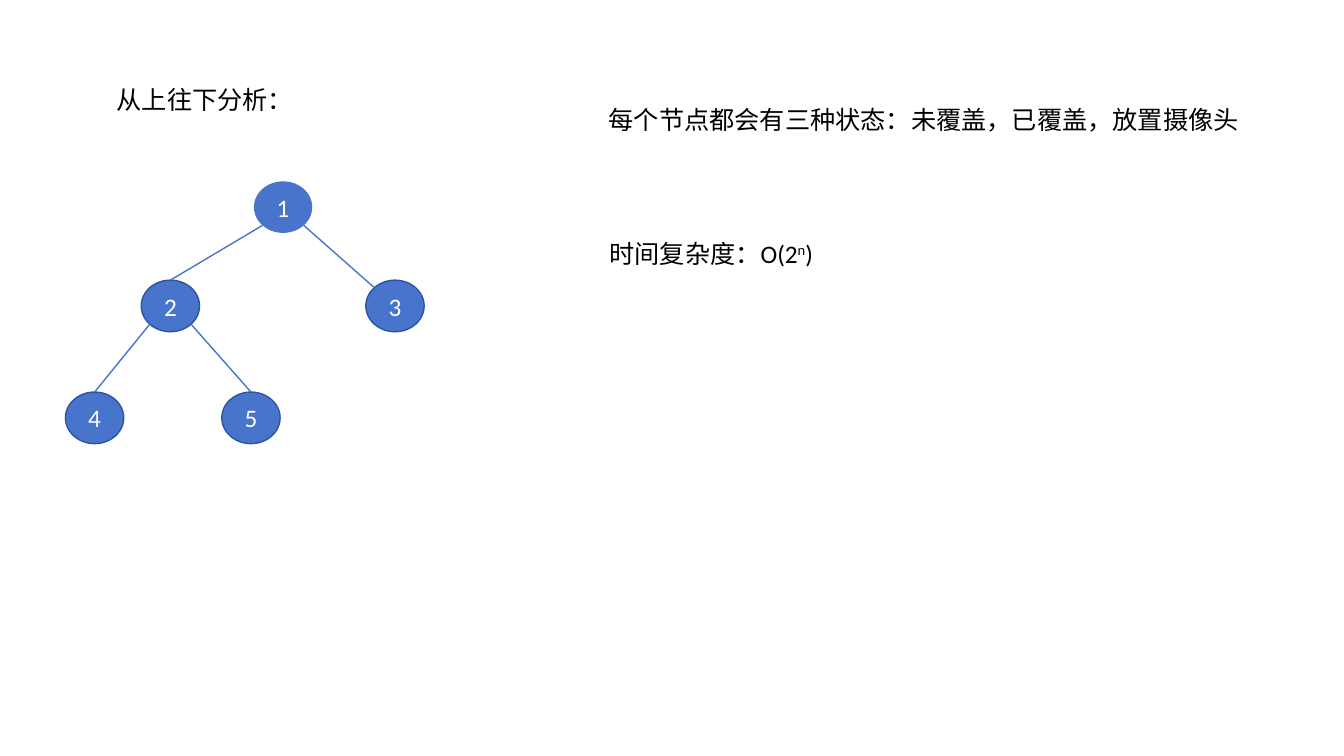
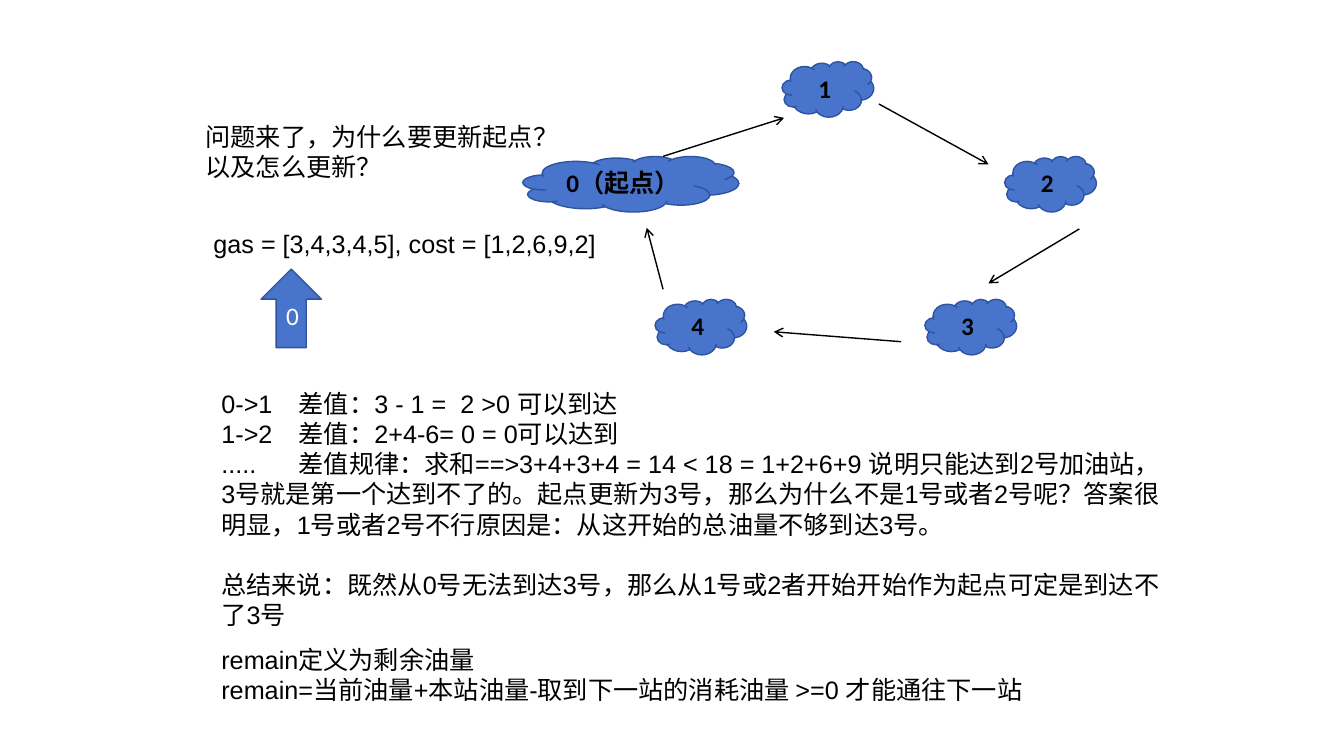
from math import sqrt

from lxml import etree
from pptx import Presentation
from pptx.dml.color import RGBColor
from pptx.enum.shapes import MSO_CONNECTOR, MSO_SHAPE
from pptx.enum.text import MSO_ANCHOR, PP_ALIGN
from pptx.oxml.ns import qn
from pptx.util import Cm, Pt

STRAIGHT = MSO_CONNECTOR.STRAIGHT
ELLIPSE, CLOUD, UP_ARROW = MSO_SHAPE.OVAL, MSO_SHAPE.CLOUD, MSO_SHAPE.UP_ARROW
MIDDLE, CENTER = MSO_ANCHOR.MIDDLE, PP_ALIGN.CENTER
TOP_SITE = 0

BLUE = RGBColor(0x48, 0x74, 0xCB)
DARK_BLUE = RGBColor(0x2E, 0x54, 0xA1)
WHITE = RGBColor(0xFF, 0xFF, 0xFF)
BLACK = RGBColor(0x00, 0x00, 0x00)

TEXT_SIZE = Pt(18)
LINE_WIDTH = Pt(1)
BLANK_LINE = Pt(21.5)
BODY_FONT, LABEL_FONT = "Arial", "Calibri"

NODE_WIDTH, NODE_HEIGHT = 1.47, 1.3
TREE_NODES = {
    "4": (0, 5.31),
    "3": (7.57, 2.49),
    "5": (3.94, 5.31),
    "2": (1.91, 2.49),
    "1": (4.75, 0),
}
# Parent, child, side of the parent (-1 left, 1 right), joins the child's top
TREE_EDGES = [("1", "2", -1, True), ("1", "3", 1, False),
              ("2", "4", -1, True), ("2", "5", 1, True)]

STATION_HEIGHT = 1.4
# Label, left, top, width
STATIONS = [
    ("0（起点）", 0, 2.39, 5.44),
    ("4", 3.33, 5.99, 2.31),
    ("1", 6.53, 0, 2.31),
    ("2", 12.14, 2.39, 2.31),
    ("3", 10.13, 5.99, 2.31),
]
ROUTES = [
    ((3.53, 2.39), (6.58, 1.42)),
    ((8.97, 1.07), (11.73, 2.59)),
    ((14.02, 4.22), (11.73, 5.59)),
    ((9.53, 7.06), (6.32, 6.81)),
    ((3.53, 5.74), (3.12, 4.19)),
]

STEPS = [
    "0->1\t差值：3 - 1 =  2 >0 可以到达",
    "1->2\t差值：2+4-6= 0 = 0可以达到",
    ".....\t差值规律：求和==>3+4+3+4 = 14 < 18 = 1+2+6+9 说明只能达到2号加油站，"
    "3号就是第一个达到不了的。起点更新为3号，那么为什么不是1号或者2号呢？"
    "答案很明显，1号或者2号不行原因是：从这开始的总油量不够到达3号。",
    "总结来说：既然从0号无法到达3号，那么从1号或2者开始开始作为起点可定是到达不了3号",
]
REMAIN = ["remain定义为剩余油量",
          "remain=当前油量+本站油量-取到下一站的消耗油量 >=0 才能通往下一站"]


def add_span(para, text, font_name, color=BLACK, bold=False):
    span = para.add_run()
    span.text = text
    formats = {"name": font_name, "size": TEXT_SIZE, "bold": bold}
    for name, value in formats.items():
        setattr(span.font, name, value)
    span.font.color.rgb = color
    return span


def add_text(page, box, lines, font_name):
    frame = page.shapes.add_textbox(*map(Cm, box)).text_frame
    frame.word_wrap = True
    for index, line in enumerate(lines):
        para = frame.add_paragraph() if index else frame.paragraphs[0]
        add_span(para, line, font_name)
    return frame


def add_tab_stop(para, position):
    tabs = etree.SubElement(para._p.get_or_add_pPr(), qn("a:tabLst"))
    etree.SubElement(tabs, qn("a:tab"), pos=str(position), algn="l")


def add_labelled(page, kind, box, label, color=WHITE, bold=False, outlined=True):
    """Add a blue shape with a centred label."""
    shape = page.shapes.add_shape(kind, *map(Cm, box))
    shape.shadow.inherit = False
    shape.fill.solid()
    shape.fill.fore_color.rgb = BLUE
    if outlined:
        shape.line.color.rgb = DARK_BLUE
        shape.line.width = LINE_WIDTH
    else:
        shape.line.fill.background()
    frame = shape.text_frame
    frame.vertical_anchor = MIDDLE
    para = frame.paragraphs[0]
    para.alignment = CENTER
    add_span(para, label, LABEL_FONT, color, bold)
    return shape


def add_line(page, start, end, color, arrow=False):
    line = page.shapes.add_connector(STRAIGHT, *map(Cm, (*start, *end)))
    line.line.color.rgb = color
    line.line.width = LINE_WIDTH
    if arrow:
        etree.SubElement(line.line._get_or_add_ln(), qn("a:tailEnd"), type="arrow")
    etree.SubElement(line._element.spPr, qn("a:effectLst"))
    return line


def diagonal_point(corner, across, down):
    """Return the point of a node's outline on one of its diagonals."""
    left, top = corner
    return (left + NODE_WIDTH / 2 * (1 + across / sqrt(2)),
            top + NODE_HEIGHT / 2 * (1 + down / sqrt(2)))


def draw_tree(page, left, top):
    corners = {label: (left + x, top + y) for label, (x, y) in TREE_NODES.items()}
    nodes = {
        label: add_labelled(page, ELLIPSE, (*corner, NODE_WIDTH, NODE_HEIGHT),
                            label, outlined=label != "1")
        for label, corner in corners.items()
    }
    for parent, child, side, joins_top in TREE_EDGES:
        edge = add_line(page, diagonal_point(corners[parent], side, 1),
                        diagonal_point(corners[child], -side, -1), BLUE)
        if joins_top:
            edge.end_connect(nodes[child], TOP_SITE)


def draw_station_ring(page, left, top):
    for label, x, y, width in STATIONS:
        add_labelled(page, CLOUD, (left + x, top + y, width, STATION_HEIGHT),
                     label, BLACK, bold=True)
    for start, end in ROUTES:
        add_line(page, *((left + x, top + y) for x, y in (start, end)),
                 BLACK, arrow=True)


def draw_steps(page, box):
    frame = add_text(page, box, STEPS, BODY_FONT)
    *steps, summary = frame.paragraphs
    for para in steps:
        add_tab_stop(para, Cm(1.95))
    summary.space_before = BLANK_LINE


def build_tree_page(page):
    add_text(page, (2.69, 2, 11.94, 1.02), ["从上往下分析："], LABEL_FONT)
    draw_tree(page, 1.65, 4.57)
    add_text(page, (15.09, 2.51, 16.69, 1.02),
             ["每个节点都会有三种状态：未覆盖，已覆盖，放置摄像头"], LABEL_FONT)
    frame = add_text(page, (15.11, 5.87, 11.28, 1.02),
                     ["时间复杂度：O(2"], LABEL_FONT)
    para = frame.paragraphs[0]
    exponent = add_span(para, "n", LABEL_FONT)
    exponent.font._element.set("baseline", "30000")
    add_span(para, ")", LABEL_FONT)


def build_station_page(page):
    draw_station_ring(page, 13.18, 1.55)
    add_text(page, (4.93, 2.92, 9.45, 1.8),
             ["问题来了，为什么要更新起点？以及怎么更新？"], BODY_FONT)
    add_text(page, (5.13, 5.64, 19.48, 1.02),
             ["gas = [3,4,3,4,5], cost = [1,2,6,9,2]"], BODY_FONT)
    add_labelled(page, UP_ARROW, (6.58, 6.78, 1.52, 1.98), "0")
    draw_steps(page, (5.33, 9.65, 24.23, 6.35))
    add_text(page, (5.33, 16.1, 23.22, 1.8), REMAIN, BODY_FONT)


def main():
    deck = Presentation()
    deck.slide_width, deck.slide_height = Cm(33.87), Cm(19.05)
    blank = deck.slide_layouts[6]
    for build in (build_tree_page, build_station_page):
        build(deck.slides.add_slide(blank))
    deck.save("out.pptx")


if __name__ == "__main__":
    main()
